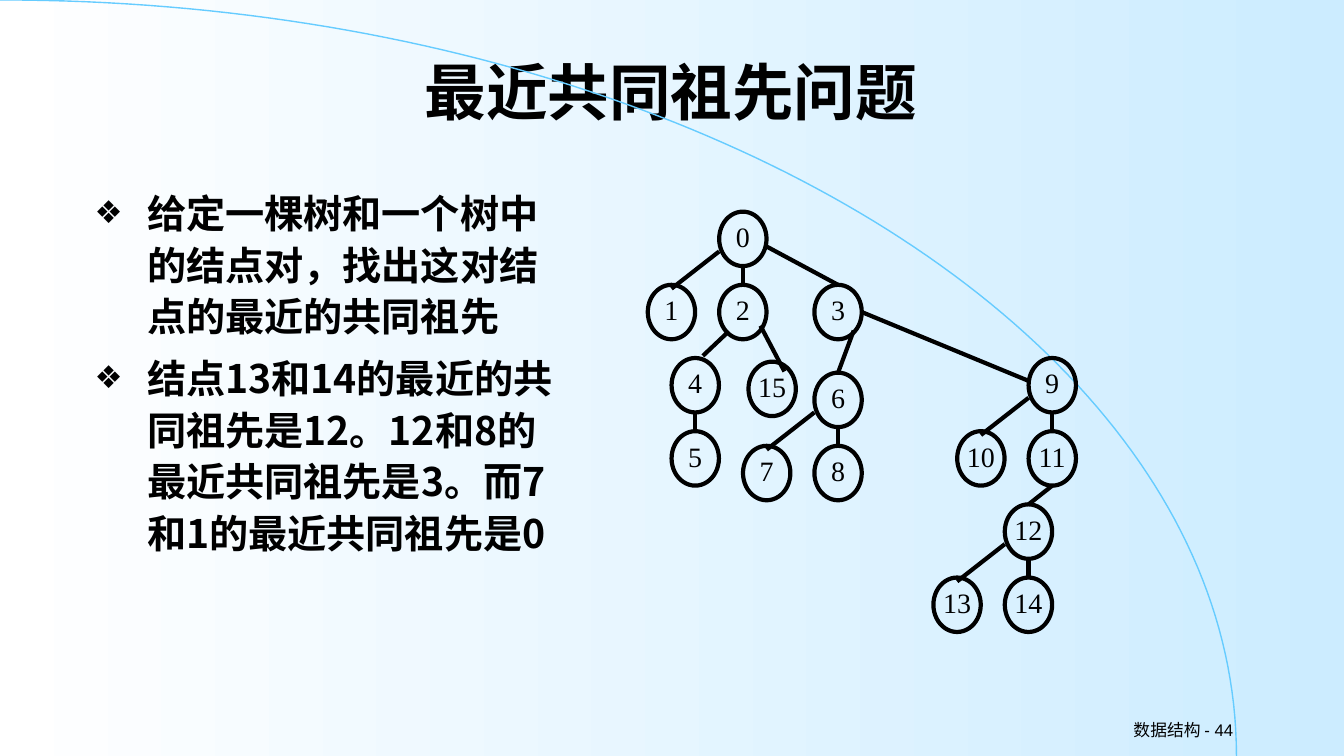
from pptx import Presentation
from pptx import util as u
from pptx.dml.color import RGBColor
from pptx.enum import shapes, text
from pptx.oxml.ns import qn
from lxml import etree

W, H = 13.34, 7.5
CJK = "Noto Sans CJK SC"
BLACK = "000000"
CENTER = text.PP_ALIGN.CENTER
TOP, MIDDLE = text.MSO_ANCHOR.TOP, text.MSO_ANCHOR.MIDDLE

# Tree nodes: label -> (column, row)
NODES = {
    0: (3, 0), 1: (0, 1), 2: (3, 1), 3: (7, 1), 4: (1, 2), 5: (1, 3),
    6: (7, 2.2), 7: (4, 3.2), 8: (7, 3.2), 9: (16, 2), 10: (13, 3),
    11: (16, 3), 12: (15, 4), 13: (12, 5), 14: (15, 5), 15: (4.23, 2.05),
}
# Edge styles: shares of the parent's and the child's box
DOWN = ((0.5, 1), (0.5, 0))
LEFT = ((0, 0.73), (0.5, 0.07))
EDGES = {
    (0, 1): LEFT, (0, 2): DOWN, (0, 3): ((1, 0.64), (0.5, 0)),
    (2, 4): ((0.17, 0.88), (0.66, -0.04)), (2, 15): ((0.87, 0.75), (0.76, 0.18)),
    (3, 6): ((0.83, 0.84), (0.5, 0)), (3, 9): ((1, 0.5), (0, 0.42)),
    (4, 5): DOWN, (6, 7): LEFT, (6, 8): DOWN, (9, 10): LEFT, (9, 11): DOWN,
    (11, 12): DOWN, (12, 13): LEFT, (12, 14): DOWN,
}


def color(hex_value):
    return RGBColor.from_string(hex_value)


def place(sp, box):
    sp.left, sp.top, sp.width, sp.height = (u.Inches(v) for v in box)


def set_attrs(obj, **values):
    for name, value in values.items():
        setattr(obj, name, value)


def set_line(sp, hex_value, width):
    sp.line.color.rgb = color(hex_value)
    sp.line.width = u.Pt(width)


def write(p, words, size, font, bold=False, **para):
    set_attrs(p, **para)
    r = p.add_run()
    r.text = words
    set_attrs(r.font, size=u.Pt(size), name=font, bold=bold)
    r.font.color.rgb = color(BLACK)
    etree.SubElement(r.font._element, qn("a:ea"), typeface=CJK)


def set_margins(tf, x, y):
    set_attrs(tf, margin_left=u.Inches(x), margin_right=u.Inches(x),
              margin_top=u.Inches(y), margin_bottom=u.Inches(y))


def draw_background(s, box):
    fill = s.background.fill
    fill.gradient()
    fill.gradient_angle = 0
    for i, hex_value in enumerate(("FFFFFF", "CCECFF")):
        fill.gradient_stops[i].color.rgb = color(hex_value)
        fill.gradient_stops[i].position = i
    # Sweeping quarter arc, a Bezier curve sampled in EMU
    x, y, w, h = (u.Inches(v) for v in box)
    points = []
    for i in range(1, 97):
        t = i / 96
        a, b, c = 3 * (1 - t) ** 2 * t, 3 * (1 - t) * t ** 2, t ** 3
        points.append((round(x + w * (0.552 * a + b + c)),
                       round(y + h * (0.448 * b + c))))
    builder = s.shapes.build_freeform(x, y, scale=1.0)
    builder.add_line_segments(points, close=False)
    arc = builder.convert_to_shape()
    arc.shadow.inherit = False
    arc.fill.background()
    set_line(arc, "66CCFF", 1)


def add_title(s, box):
    sp = s.shapes.title
    place(sp, box)
    tf = sp.text_frame
    set_attrs(tf, vertical_anchor=MIDDLE, word_wrap=True)
    set_margins(tf, 0.1, 0.05)
    write(tf.paragraphs[0], "最近共同祖先问题", 44, "Arial", True, alignment=CENTER)


def add_body(s, box, items):
    sp = s.placeholders[1]
    place(sp, box)
    tf = sp.text_frame
    set_attrs(tf, word_wrap=True, vertical_anchor=TOP)
    set_margins(tf, 0.1, 0.05)
    for i, words in enumerate(items):
        p = tf.add_paragraph() if i else tf.paragraphs[0]
        write(p, words, 28, CJK, True, line_spacing=1.1, space_before=u.Pt(7),
              alignment=text.PP_ALIGN.LEFT)
        # Diamond bullet with a hanging indent
        pPr = p._p.get_or_add_pPr()
        indent = u.Inches(0.52)
        pPr.set("marL", str(indent))
        pPr.set("indent", str(-indent))
        etree.SubElement(pPr, qn("a:buSzPct"), val="80000")
        etree.SubElement(pPr, qn("a:buFont"), typeface="Arial")
        etree.SubElement(pPr, qn("a:buChar"), char="❖")


def add_footer(s, box):
    sp = s.shapes.add_textbox(0, 0, 0, 0)
    place(sp, box)
    tf = sp.text_frame
    set_attrs(tf, word_wrap=True, vertical_anchor=MIDDLE)
    write(tf.paragraphs[0], "数据结构 - 44", 12, "Arial",
          alignment=text.PP_ALIGN.RIGHT)


def add_tree(s, box):
    x, y, w, h = box
    node_w, node_h = 0.47, 0.54
    col, row = (w - node_w) / 16, (h - node_h) / 5

    def spot(label, share):
        c, r = NODES[label]
        return (u.Inches(x + c * col + share[0] * node_w),
                u.Inches(y + r * row + share[1] * node_h))

    # Nodes
    for label in NODES:
        sp = s.shapes.add_shape(shapes.MSO_SHAPE.OVAL, *spot(label, (0, 0)),
                                u.Inches(node_w), u.Inches(node_h))
        sp.shadow.inherit = False
        sp.fill.background()
        set_line(sp, BLACK, 3)
        tf = sp.text_frame
        set_attrs(tf, word_wrap=False, vertical_anchor=TOP)
        set_margins(tf, 0, 0)
        write(tf.paragraphs[0], str(label), 20, "Times New Roman", alignment=CENTER)
    # Edges
    for (parent, child), (start, end) in EDGES.items():
        edge = s.shapes.add_connector(shapes.MSO_CONNECTOR.STRAIGHT,
                                      *spot(parent, start), *spot(child, end))
        set_line(edge, BLACK, 3)
        etree.SubElement(edge._element.spPr, qn("a:effectLst"))


def main():
    prs = Presentation()
    prs.slide_width, prs.slide_height = u.Inches(W), u.Inches(H)
    s = prs.slides.add_slide(prs.slide_layouts[1])
    draw_background(s, (0, 0, 0.92 * W, H))
    add_footer(s, (9.56, 7.08, 2.78, 0.33))
    add_title(s, (2.41, 0.28, 8.5, 1.25))
    add_body(s, (0.84, 1.78, 4.96, 5.51), (
        "给定一棵树和一个树中的结点对，找出这对结点的最近的共同祖先",
        "结点13和14的最近的共同祖先是12。12和8的最近共同祖先是3。而7和1的最近共同祖先是0",
    ))
    add_tree(s, (6.43, 2.1, 4.25, 4.17))
    prs.save("out.pptx")


if __name__ == "__main__":
    main()
